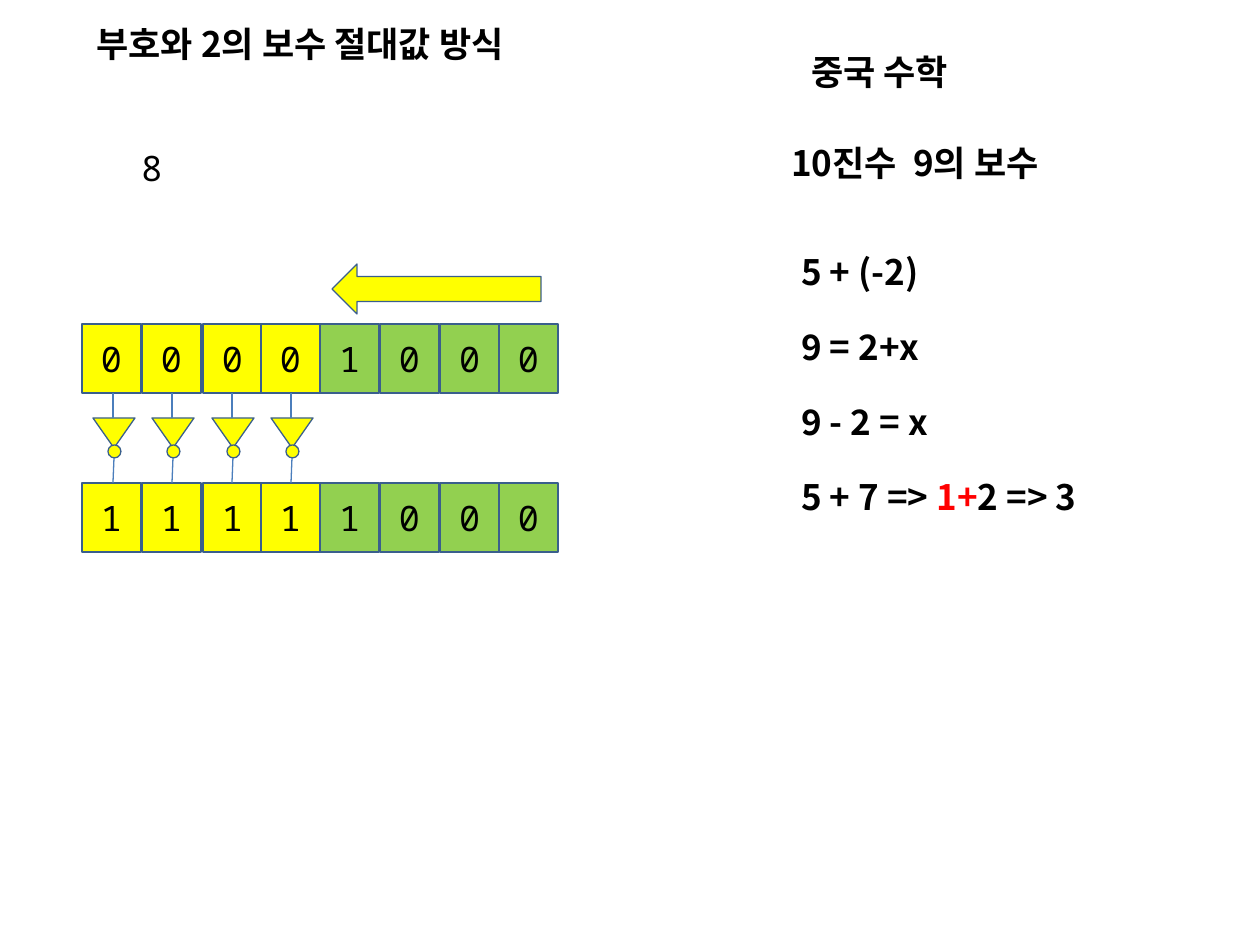
from dataclasses import dataclass
from typing import Any

from lxml.etree import SubElement
from pptx import Presentation
from pptx.dml.color import RGBColor
from pptx.enum.shapes import MSO_CONNECTOR, MSO_SHAPE
from pptx.enum.text import MSO_ANCHOR, MSO_AUTO_SIZE, PP_ALIGN
from pptx.oxml.ns import qn
from pptx.util import Emu, Pt

EMU_PER_PX = 914400 // 126

BLACK = RGBColor(0x00, 0x00, 0x00)
RED = RGBColor(0xFF, 0x00, 0x00)
YELLOW = RGBColor(0xFF, 0xFF, 0x00)
GREEN = RGBColor(0x92, 0xD0, 0x50)
OUTLINE = RGBColor(0x3A, 0x5F, 0x8C)
WIRE = RGBColor(0x4B, 0x7E, 0xBC)

SANS = "Noto Sans CJK KR"
MONO = "Noto Sans Mono"


@dataclass(frozen=True)
class Box:
    left: int
    top: int
    width: int
    height: int

    def emu(self) -> list[Emu]:
        return [px(n) for n in (self.left, self.top, self.width, self.height)]


@dataclass(frozen=True)
class Span:
    text: str
    color: RGBColor = BLACK


@dataclass(frozen=True)
class Label:
    box: Box
    lines: list[list[Span]]
    font: str = SANS
    bold: bool = True


@dataclass(frozen=True)
class BitRow:
    top: int
    bits: str


LABELS = [
    Label(Box(84, 16, 496, 55), [[Span("부호와 2의 보수 절대값 방식")]]),
    Label(Box(129, 140, 45, 55), [[Span("8")]], font=MONO, bold=False),
    Label(Box(799, 44, 192, 55), [[Span("중국 수학")]]),
    Label(Box(779, 135, 314, 55), [[Span("10진수  9의 보수")]]),
    Label(Box(789, 244, 355, 310), [
        [Span("5 + (-2)")],
        [Span("9 = 2+x")],
        [Span("9 - 2 = x")],
        [Span("5 + 7 => "), Span("1+", RED), Span("2 => 3")],
    ]),
]

BIT_ROWS = [BitRow(324, "00001000"), BitRow(483, "11111000")]
BIT_LEFTS = [82, 142, 203, 261, 320, 380, 440, 499]
BIT_WIDTH, BIT_HEIGHT = 59, 69
SIGN_BITS = 4
GATE_LEFTS = [271, 212, 152, 93]


def px(length: int) -> Emu:
    return Emu(length * EMU_PER_PX)


def write_text(frame: Any, lines: list[list[Span]], *, font: str, bold: bool = False,
               align: PP_ALIGN = PP_ALIGN.LEFT, gap: float = 0) -> None:
    for index, line in enumerate(lines):
        para = frame.paragraphs[0] if index == 0 else frame.add_paragraph()
        para.alignment = align
        if index:
            para.space_before = Pt(gap)
        for span in line:
            run = para.add_run()
            run.text = span.text
            run.font.size = Pt(20)
            run.font.bold = bold
            run.font.color.rgb = span.color
            run.font.name = font
            east_asian = SubElement(run.font._element, qn("a:ea"))
            east_asian.set("typeface", font)


def add_label(shapes: Any, label: Label) -> None:
    frame = shapes.add_textbox(*label.box.emu()).text_frame
    frame.word_wrap = False
    frame.auto_size = MSO_AUTO_SIZE.SHAPE_TO_FIT_TEXT
    write_text(frame, label.lines, font=label.font, bold=label.bold, gap=19)


def add_figure(shapes: Any, kind: MSO_SHAPE, box: Box, fill: RGBColor = YELLOW) -> Any:
    shape = shapes.add_shape(kind, *box.emu())
    shape.shadow.inherit = False
    shape.fill.solid()
    shape.fill.fore_color.rgb = fill
    shape.line.color.rgb = OUTLINE
    shape.line.width = Pt(0.75)
    return shape


def add_bit_row(shapes: Any, row: BitRow) -> None:
    for index, (left, bit) in enumerate(zip(BIT_LEFTS, row.bits)):
        fill = YELLOW if index < SIGN_BITS else GREEN
        box = Box(left, row.top, BIT_WIDTH, BIT_HEIGHT)
        frame = add_figure(shapes, MSO_SHAPE.RECTANGLE, box, fill).text_frame
        frame.vertical_anchor = MSO_ANCHOR.MIDDLE
        write_text(frame, [[Span(bit)]], font=MONO, align=PP_ALIGN.CENTER)


def add_wire(shapes: Any, start: tuple[int, int], end: tuple[int, int]) -> None:
    wire = shapes.add_connector(MSO_CONNECTOR.STRAIGHT, *map(px, start + end))
    wire.line.color.rgb = WIRE
    wire.line.width = Pt(0.75)
    SubElement(wire._element.spPr, qn("a:effectLst"))


def add_not_gate(shapes: Any, left: int) -> None:
    gate = shapes.add_group_shape().shapes
    triangle = add_figure(gate, MSO_SHAPE.ISOSCELES_TRIANGLE, Box(left, 418, 42, 30))
    triangle.rotation = 180
    add_figure(gate, MSO_SHAPE.OVAL, Box(left + 15, 445, 13, 13))
    wire_x = left + 20
    add_wire(gate, (wire_x, 393), (wire_x, 418))
    add_wire(gate, (wire_x + 1, 458), (wire_x, 483))


def main() -> None:
    deck = Presentation()
    deck.slide_width, deck.slide_height = px(1260), px(945)
    page = deck.slides.add_slide(deck.slide_layouts[6])

    # Titles and the worked subtraction
    for label in LABELS:
        add_label(page.shapes, label)

    # Bits before and after inversion
    for row in BIT_ROWS:
        add_bit_row(page.shapes, row)

    # NOT gates joining the four sign bits
    for left in GATE_LEFTS:
        add_not_gate(page.shapes, left)

    # Arrow pointing towards the sign bits
    arrow = add_figure(page.shapes, MSO_SHAPE.RIGHT_ARROW, Box(332, 264, 209, 50))
    arrow._element.spPr.xfrm.set("flipH", "1")

    deck.save("out.pptx")


if __name__ == "__main__":
    main()
